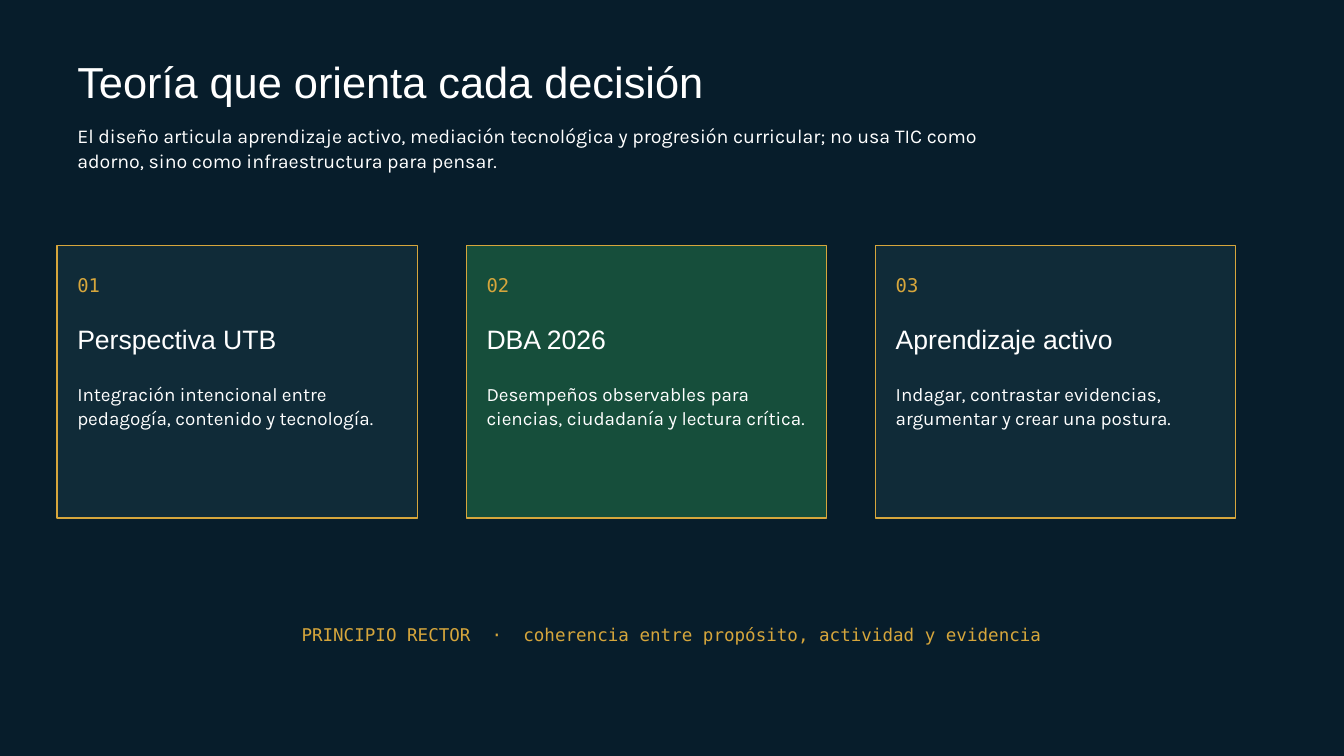
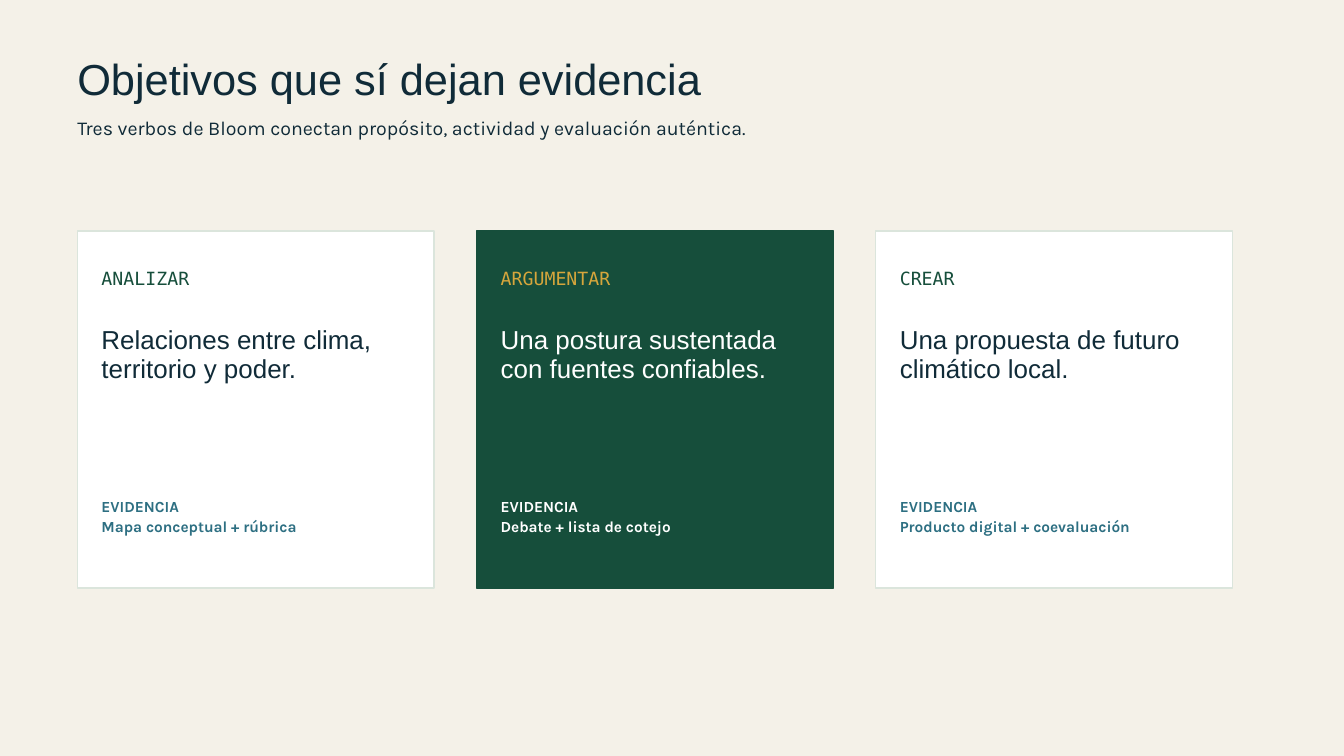
import pptx
import pptx.dml.color
import pptx.enum.shapes
import pptx.enum.text
import pptx.util

Inches = pptx.util.Inches
Pt = pptx.util.Pt

NIGHT, NAVY, GREEN, GOLD = "071D2B", "102B38", "164E3B", "D6A63C"
CREAM, WHITE, SAGE, TEAL = "F4F1E8", "FFFFFF", "DBE5DC", "2D6F82"

STYLES = {
    "title": ({"name": "Arial", "size": Pt(46.5)}, 47.4),
    "subtitle": ({"name": "Karla", "size": Pt(21)}, 27.3),
    "number": ({"name": "DejaVu Sans Mono", "size": Pt(20.2)}, 28.4),
    "heading": ({"name": "Arial", "size": Pt(28.5)}, 39.9),
    "body": ({"name": "Karla", "size": Pt(20.2)}, 26.3),
    "principle": ({"name": "DejaVu Sans Mono", "size": Pt(18.8)}, 26.2),
    "verb": ({"name": "DejaVu Sans Mono", "size": Pt(19.5)}, 27.3),
    "objective": ({"name": "Arial", "size": Pt(27.8)}, 31.1),
    "evidence": ({"name": "Karla", "size": Pt(16.5), "bold": True}, 21.4),
}

FRAME_FORMAT = {
    "margin_left": 0,
    "margin_top": 0,
    "margin_right": 0,
    "margin_bottom": 0,
    "word_wrap": True,
    "auto_size": pptx.enum.text.MSO_AUTO_SIZE.SHAPE_TO_FIT_TEXT,
}

MARGIN = 1.15

THEORY = {
    "background": NIGHT,
    "ink": WHITE,
    "title": ("Teoría que orienta cada decisión", 0.93),
    "subtitle": (
        "El diseño articula aprendizaje activo, mediación tecnológica y progresión "
        "curricular; no usa TIC como adorno, sino como infraestructura para pensar.",
        (MARGIN, 1.81, 13.54, 0.74),
    ),
    "grid": {"left": 0.85, "top": 3.65, "width": 5.36, "height": 4.06, "step": 6.09},
    "fields": [
        ("number", 0.3, 0.36, 1.04, 0.38),
        ("heading", 0.3, 1.08, 4.9, 0.54),
        ("body", 0.3, 2.01, 4.74, 0.72),
    ],
    "cards": [
        ("plain", ["01", "Perspectiva UTB",
                   "Integración intencional entre pedagogía, contenido y tecnología."]),
        ("accent", ["02", "DBA 2026",
                    "Desempeños observables para ciencias, ciudadanía y lectura crítica."]),
        ("plain", ["03", "Aprendizaje activo",
                   "Indagar, contrastar evidencias, argumentar y crear una postura."]),
    ],
    "looks": {
        "plain": (NAVY, GOLD, [GOLD, WHITE, WHITE]),
        "accent": (GREEN, GOLD, [GOLD, WHITE, WHITE]),
    },
}

PRINCIPLE = "PRINCIPIO RECTOR  ·  coherencia entre propósito, actividad y evidencia"

OBJECTIVES = {
    "background": CREAM,
    "ink": NAVY,
    "title": ("Objetivos que sí dejan evidencia", 0.89),
    "subtitle": (
        "Tres verbos de Bloom conectan propósito, actividad y evaluación auténtica.",
        (MARGIN, 1.69, 11.46, 0.37),
    ),
    "grid": {"left": MARGIN, "top": 3.44, "width": 5.31, "height": 5.31, "step": 5.94},
    "fields": [
        ("verb", 0.36, 0.49, 4.58, 0.35),
        ("objective", 0.36, 1.41, 4.48, 1.3),
        ("evidence", 0.36, 3.94, 4.48, 0.58),
    ],
    "cards": [
        ("plain", ["ANALIZAR", "Relaciones entre clima, territorio y poder.",
                   "EVIDENCIA\nMapa conceptual + rúbrica"]),
        ("accent", ["ARGUMENTAR", "Una postura sustentada con fuentes confiables.",
                    "EVIDENCIA\nDebate + lista de cotejo"]),
        ("plain", ["CREAR", "Una propuesta de futuro climático local.",
                   "EVIDENCIA\nProducto digital + coevaluación"]),
    ],
    "looks": {
        "plain": (WHITE, SAGE, [GREEN, NAVY, TEAL]),
        "accent": (GREEN, GREEN, [GOLD, WHITE, WHITE]),
    },
}


def set_color(color_format, value):
    color_format.rgb = pptx.dml.color.RGBColor.from_string(value)


def paint(fill, value):
    fill.solid()
    set_color(fill.fore_color, value)


def apply_format(target, values):
    for name, value in values.items():
        setattr(target, name, value)


def add_text(shapes, text, style, color, box, alignment=None):
    font_format, line_spacing = STYLES[style]
    frame = shapes.add_textbox(*map(Inches, box)).text_frame
    apply_format(frame, FRAME_FORMAT)
    frame.text = text
    for paragraph in frame.paragraphs:
        apply_format(paragraph, {"line_spacing": Pt(line_spacing), "alignment": alignment})
        apply_format(paragraph.font, font_format)
        set_color(paragraph.font.color, color)


def add_card(shapes, box, look, fields, texts):
    fill, border, inks = look
    card = shapes.add_shape(
        pptx.enum.shapes.MSO_SHAPE.RECTANGLE, *map(Inches, box))
    card.shadow.inherit = False
    paint(card.fill, fill)
    paint(card.line.fill, border)
    card.line.width = Pt(1.5)
    left, top = box[:2]
    for (style, inset, drop, width, height), text, ink in zip(fields, texts, inks):
        add_text(shapes, text, style, ink, (left + inset, top + drop, width, height))


def add_card_slide(presentation, content):
    slide = presentation.slides.add_slide(presentation.slide_layouts[6])
    paint(slide.background.fill, content["background"])
    title, title_top = content["title"]
    add_text(slide.shapes, title, "title", content["ink"], (MARGIN, title_top, 14.58, 0.7))
    subtitle, subtitle_box = content["subtitle"]
    add_text(slide.shapes, subtitle, "subtitle", content["ink"], subtitle_box)
    grid = content["grid"]
    for index, (look, texts) in enumerate(content["cards"]):
        box = (grid["left"] + index * grid["step"], grid["top"], grid["width"], grid["height"])
        group = slide.shapes.add_group_shape()
        add_card(group.shapes, box, content["looks"][look], content["fields"], texts)
    return slide


def main():
    presentation = pptx.Presentation()
    presentation.slide_width = Inches(20)
    presentation.slide_height = Inches(11.25)
    theory_slide = add_card_slide(presentation, THEORY)
    add_text(theory_slide.shapes, PRINCIPLE, "principle", GOLD,
             (3.44, 9.24, 13.12, 0.34), pptx.enum.text.PP_ALIGN.CENTER)
    add_card_slide(presentation, OBJECTIVES)
    presentation.save("out.pptx")


if __name__ == "__main__":
    main()
